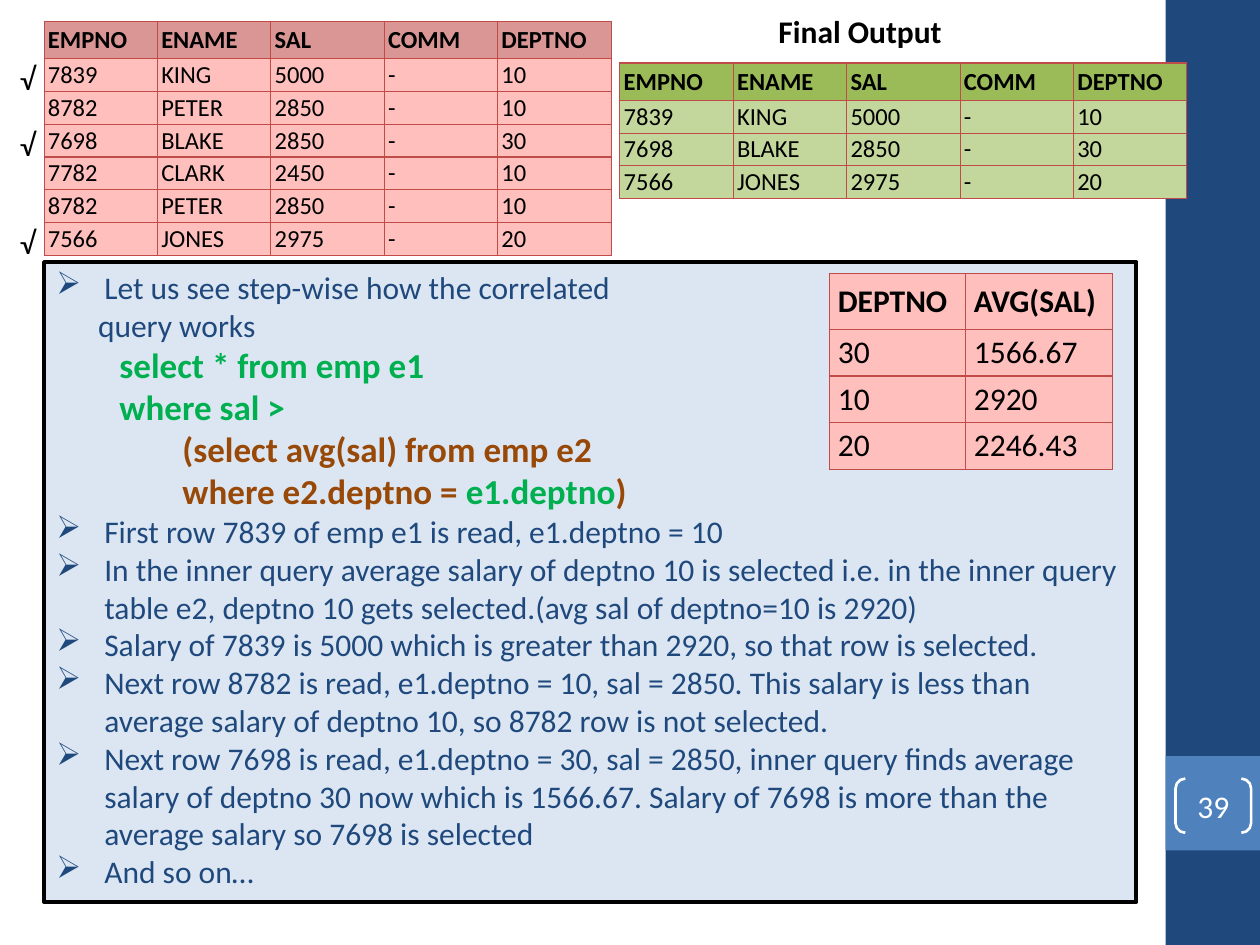
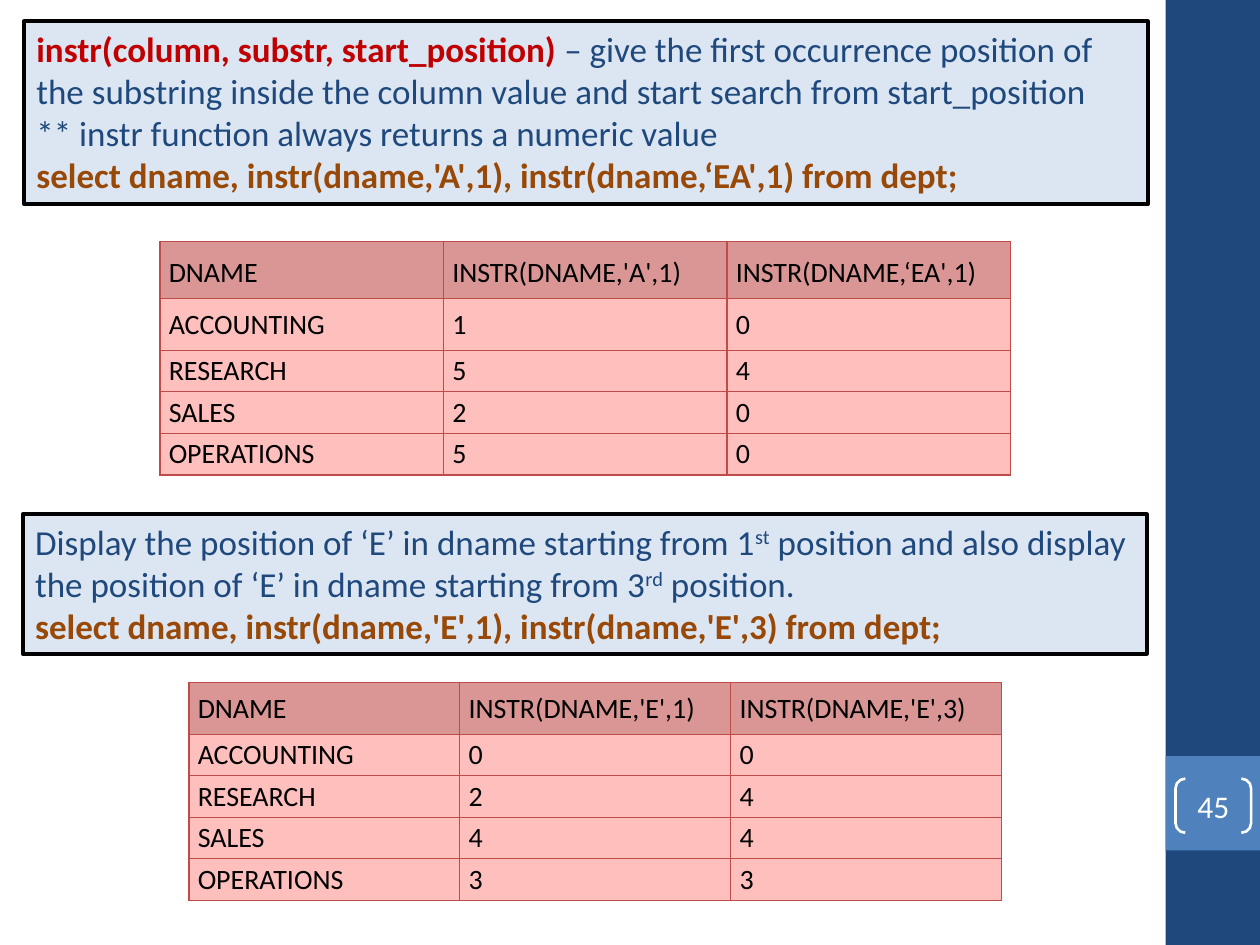
from lxml import etree
from pptx import Presentation
from pptx.dml.color import RGBColor
from pptx.enum.shapes import MSO_SHAPE
from pptx.enum.text import MSO_ANCHOR, PP_ALIGN
from pptx.oxml.ns import qn
from pptx.util import Inches, Pt

RECT, BRACKET = MSO_SHAPE.RECTANGLE, MSO_SHAPE.DOUBLE_BRACKET
TOP, MID, LOW = MSO_ANCHOR.TOP, MSO_ANCHOR.MIDDLE, MSO_ANCHOR.BOTTOM
LEFT, CENTER = PP_ALIGN.LEFT, PP_ALIGN.CENTER

FONT = "Calibri"
NAVY, BLUE, PALE = "1F497D", "4F81BD", "DCE6F2"
BLACK, WHITE, EDGE = "000000", "FFFFFF", "BF4C48"
GREEN, BROWN, RED = "00B050", "984807", "C00000"
ROSE, PINK = "D99694", "FFC0BD"
OLIVE, LIME = "9BBB59", "C3D69B"

EMP_HEAD = ["EMPNO", "ENAME", "SAL", "COMM", "DEPTNO"]
EMPS = [
    ["7839", "KING", "5000", "-", "10"],
    ["8782", "PETER", "2850", "-", "10"],
    ["7698", "BLAKE", "2850", "-", "30"],
    ["7782", "CLARK", "2450", "-", "10"],
    ["8782", "PETER", "2850", "-", "10"],
    ["7566", "JONES", "2975", "-", "20"],
]
PICKED = [0, 2, 5]
DEPTS = ["ACCOUNTING", "RESEARCH", "SALES", "OPERATIONS"]

STEPS = [
    "First row 7839 of emp e1 is read, e1.deptno = 10",
    "In the inner query average salary of deptno 10 is selected i.e. in the inner query "
    "table e2, deptno 10 gets selected.(avg sal of deptno=10 is 2920)",
    "Salary of 7839 is 5000 which is greater than 2920, so that row is selected.",
    "Next row 8782 is read, e1.deptno = 10, sal = 2850. This salary is less than "
    "average salary of deptno 10, so 8782 row is not selected.",
    "Next row 7698 is read, e1.deptno = 30, sal = 2850, inner query finds average "
    "salary of deptno 30 now which is 1566.67. Salary of 7698 is more than the "
    "average salary so 7698 is selected",
    "And so on…",
]


def rgb(code):
    return RGBColor.from_string(code)


def style(run, size, color, bold=False, raised=False):
    font = run.font
    font.name, font.size, font.bold = FONT, Pt(size), bold
    font.color.rgb = rgb(color)
    if raised:
        run._r.get_or_add_rPr().set("baseline", "30000")


def inset(item, side, edge):
    item.margin_left = item.margin_right = Inches(side)
    item.margin_top = item.margin_bottom = Inches(edge)


def add_block(slide, kind, box, fill=None, line=None, width=0):
    shape = slide.shapes.add_shape(kind, *map(Inches, box))
    shape.shadow.inherit = False
    if fill:
        shape.fill.solid()
        shape.fill.fore_color.rgb = rgb(fill)
    else:
        shape.fill.background()
    if line:
        shape.line.color.rgb = rgb(line)
        shape.line.width = Pt(width)
    else:
        shape.line.fill.background()
    return shape


def add_label(slide, box, text, bold=False):
    frame = slide.shapes.add_textbox(*map(Inches, box)).text_frame
    frame.word_wrap = False
    frame.text = text
    style(frame.paragraphs[0].runs[0], 18, BLACK, bold)


def indent(para, left, mark):
    """Set the left margin and, if asked, a hanging arrow bullet."""
    props = para._p.get_or_add_pPr()
    props.set("marL", str(Inches(left)))
    props.set("indent", str(-Inches(left) if mark else 0))
    if mark:
        etree.SubElement(props, qn("a:buChar")).set("char", "➢")


def add_panel(slide, box, lines):
    """Pale panel; each line is (left indent, bullet, runs)."""
    frame = add_block(slide, RECT, box, PALE, BLACK, 2.25).text_frame
    frame.word_wrap, frame.vertical_anchor = True, TOP
    for i, (left, mark, runs) in enumerate(lines):
        para = frame.add_paragraph() if i else frame.paragraphs[0]
        para.alignment = LEFT
        indent(para, left, mark)
        for text, *look in runs:
            run = para.add_run()
            run.text = text
            style(run, *look)


def add_border(cell):
    props = cell._tc.get_or_add_tcPr()
    for side in ("lnL", "lnR", "lnT", "lnB"):
        line = etree.SubElement(props, qn("a:" + side), w=str(Pt(0.75)))
        fill = etree.SubElement(line, qn("a:solidFill"))
        etree.SubElement(fill, qn("a:srgbClr"), val=EDGE)


def add_grid(slide, spot, cols, tall, rows, size, fills, bold=True, side=0.07, edge=0.03):
    """Table with a header row; fills holds the header and body colours."""
    box = (*spot, sum(cols), sum(tall))
    grid = slide.shapes.add_table(len(rows), len(cols), *map(Inches, box)).table
    grid.first_row = grid.horz_banding = False
    for col, width in zip(grid.columns, cols):
        col.width = Inches(width)
    for r, row in enumerate(rows):
        grid.rows[r].height = Inches(tall[r])
        for c, text in enumerate(row):
            cell = grid.cell(r, c)
            add_border(cell)
            cell.fill.solid()
            cell.fill.fore_color.rgb = rgb(fills[min(r, 1)])
            cell.vertical_anchor = MID if r else LOW
            inset(cell, side, edge if r else side)
            cell.text = text
            style(cell.text_frame.paragraphs[0].runs[0], size, BLACK, bold and r == 0)


def add_emps(slide, spot, rows, fills):
    add_grid(slide, spot, [0.9] * 5, [0.29] + [0.26] * len(rows),
             [EMP_HEAD] + rows, 14, fills, side=0.03, edge=0.01)


def add_instr(slide, spot, width, tall, args, pairs):
    """Table of instr results for two argument lists."""
    head = ["DNAME"] + [f"INSTR(DNAME,{arg})" for arg in args]
    rows = [[dept, *pair] for dept, pair in zip(DEPTS, pairs)]
    add_grid(slide, spot, [width] * 3, tall, [head] + rows, 16, (ROSE, PINK), bold=False)


def add_band(slide, page):
    """Right-hand band with the page number in brackets."""
    left = 9.25
    add_block(slide, RECT, (left, 0, 0.75, 7.5), NAVY)
    add_block(slide, RECT, (left, 6, 0.75, 0.75), BLUE)
    mark = add_block(slide, BRACKET, (left + 0.08, 6.18, 0.6, 0.43), line=WHITE, width=1.5)
    mark.adjustments[0] = 0.18
    frame = mark.text_frame
    inset(frame, 0, 0)
    frame.vertical_anchor = MID
    frame.text = page
    frame.paragraphs[0].alignment = CENTER
    style(frame.paragraphs[0].runs[0], 18, WHITE)


def start(deck, page):
    slide = deck.slides.add_slide(deck.slide_layouts[6])
    add_band(slide, page)
    return slide


def walk_slide(deck):
    slide = start(deck, "39")
    plain, outer, inner = (18, NAVY), (20, GREEN, True), (20, BROWN, True)

    # Query and its steps
    lines = [
        (0.38, True, [("Let us see step-wise how the correlated", *plain)]),
        (0.33, False, [("query works", *plain)]),
        (0.5, False, [("select * from emp e1", *outer)]),
        (0.5, False, [("where sal >", *outer)]),
        (1, False, [("(select avg(sal) from emp e2", *inner)]),
        (1, False, [("where e2.deptno = ", *inner), ("e1.deptno", *outer), (")", *inner)]),
    ]
    lines += [(0.38, True, [(step, *plain)]) for step in STEPS]
    add_panel(slide, (0.35, 2.08, 8.67, 5.08), lines)

    # Average salary by department
    means = [["DEPTNO", "AVG(SAL)"], ["30", "1566.67"], ["10", "2920"], ["20", "2246.43"]]
    add_grid(slide, (6.58, 2.17), [1.08, 1.17], [0.43] + [0.37] * 3, means, 18, (PINK, PINK))

    # All employees, and those the query returns
    add_emps(slide, (0.35, 0.17), EMPS, (ROSE, PINK))
    add_emps(slide, (4.92, 0.5), [EMPS[i] for i in PICKED], (OLIVE, LIME))
    add_label(slide, (6.08, 0.05, 1.51, 0.4), "Final Output", bold=True)
    for i in PICKED:
        add_label(slide, (0.06, 0.42 + 0.26 * i, 0.33, 0.4), "√")


def instr_slide(deck):
    slide = start(deck, "45")
    plain, code = (20, NAVY), (20, BROWN, True)
    lift = (20, NAVY, False, True)

    # Syntax and first example
    add_panel(slide, (0.19, 0.17, 8.92, 1.45), [
        (0, False, [
            ("instr(column, substr, start_position) ", 20, RED, True),
            ("– give the first occurrence position of the substring inside the column "
             "value and start search from start_position", *plain)]),
        (0, False, [("** instr function always returns a numeric value", *plain)]),
        (0, False, [("select dname, instr(dname,'A',1), instr(dname,‘EA',1) from dept;", *code)]),
    ])
    add_instr(slide, (1.27, 1.92), 2.25, [0.45, 0.41] + [0.33] * 3,
              ["'A',1", "‘EA',1"], ["10", "54", "20", "50"])

    # Second example
    add_panel(slide, (0.18, 4.08, 8.92, 1.11), [
        (0, False, [
            ("Display the position of ‘E’ in dname starting from 1", *plain),
            ("st", *lift),
            (" position and also display the position of ‘E’ in dname starting from 3", *plain),
            ("rd", *lift),
            (" position.", *plain)]),
        (0, False, [("select dname, instr(dname,'E',1), instr(dname,'E',3) from dept;", *code)]),
    ])
    add_instr(slide, (1.5, 5.42), 2.15, [0.39] + [0.33] * 4,
              ["'E',1", "'E',3"], ["00", "24", "44", "33"])


def main():
    deck = Presentation()
    deck.slide_width, deck.slide_height = Inches(10), Inches(7.5)
    walk_slide(deck)
    instr_slide(deck)
    deck.save("out.pptx")


if __name__ == "__main__":
    main()
